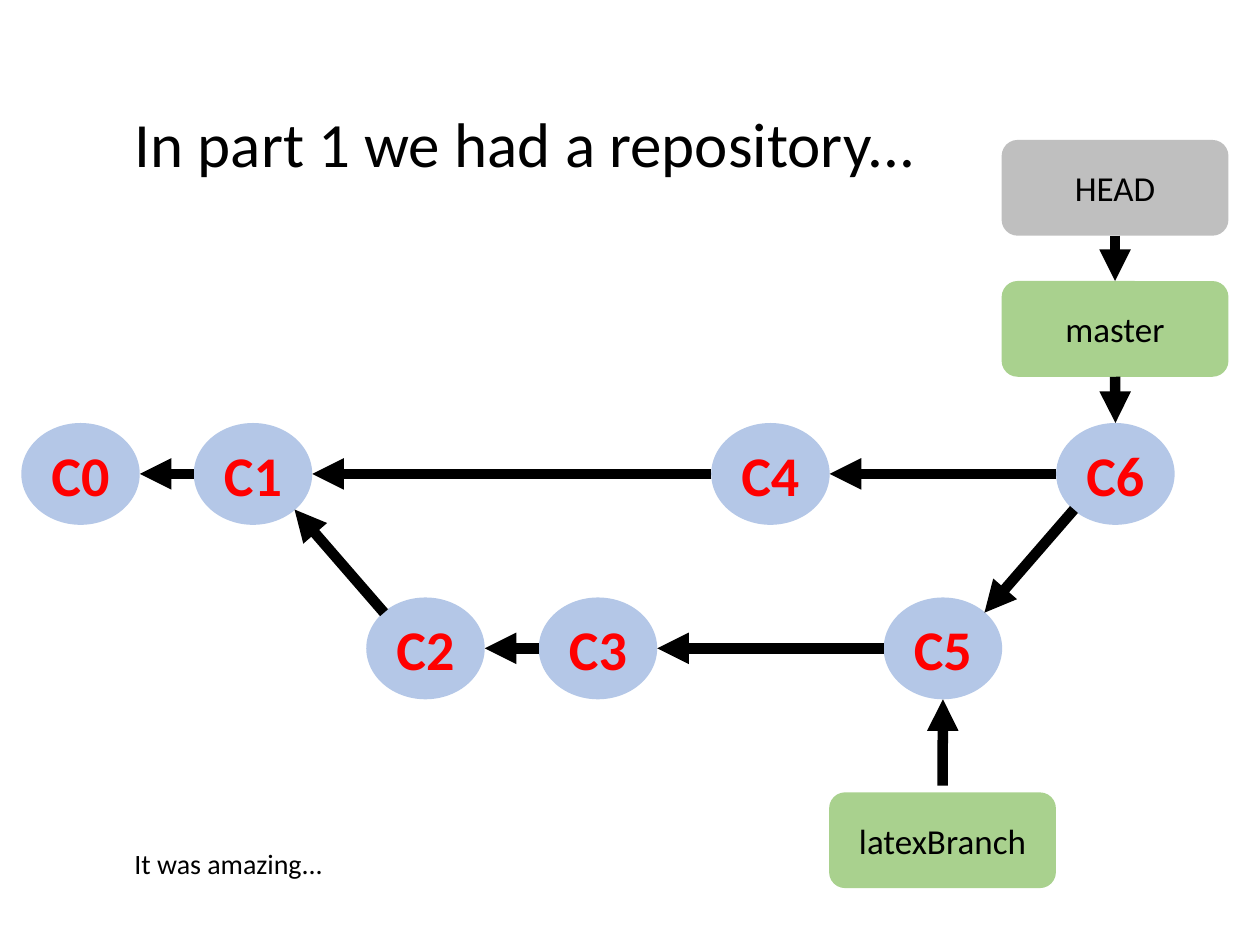
"""Build a slide that shows a commit graph with its branches and HEAD."""
from lxml.etree import SubElement
from pptx import Presentation
from pptx.dml.color import RGBColor
from pptx.enum.shapes import MSO_CONNECTOR as CONN, MSO_SHAPE as SHAPE
from pptx.enum.text import MSO_ANCHOR as ANCHOR, PP_ALIGN as ALIGN
from pptx.oxml.ns import qn
from pptx.util import Pt

BLACK = RGBColor(0x00, 0x00, 0x00)
RED = RGBColor(0xFF, 0x00, 0x00)
BLUE = RGBColor(0xB4, 0xC7, 0xE7)
GREEN = RGBColor(0xA9, 0xD1, 0x8E)
GREY = RGBColor(0xBF, 0xBF, 0xBF)

COMMIT_W, COMMIT_H = 67.7, 58.2
LABEL_W, LABEL_H = 129.6, 54.7
LEFT, STEP = 12.2, 98.56
UPPER, LOWER = 241.7, 341.4


def write(sp, text, anchor, align, formats):
    tf = sp.text_frame
    tf.word_wrap = True
    tf.vertical_anchor = anchor
    p = tf.paragraphs[0]
    p.alignment = align
    r = p.add_run()
    r.text = text
    r.font.color.rgb = formats["color"]
    for name in ("size", "bold"):
        setattr(r.font, name, formats[name])
    r.font.name = "Calibri"


def add_node(s, kind, text, box, fill, formats):
    sp = s.shapes.add_shape(kind, *(Pt(v) for v in box))
    sp.shadow.inherit = False
    sp.fill.solid()
    sp.fill.fore_color.rgb = fill
    sp.line.fill.background()
    sp.text_frame.margin_left = sp.text_frame.margin_right = Pt(0)
    write(sp, text, ANCHOR.MIDDLE, ALIGN.CENTER, formats)
    return sp


prs = Presentation()
prs.slide_width, prs.slide_height = Pt(720), Pt(540)
s = prs.slides.add_slide(prs.slide_layouts[5])

title = s.shapes.title
title.left, title.top, title.width, title.height = Pt(69.8), Pt(56.2), Pt(582.5), Pt(51)
write(title, "In part 1 we had a repository...", ANCHOR.TOP, ALIGN.LEFT,
      {"size": Pt(36), "bold": False, "color": BLACK})

nodes = {}
commit_format = {"size": Pt(32), "bold": True, "color": RED}
rows = [UPPER, UPPER, LOWER, LOWER, UPPER, LOWER, UPPER]
for i, top in enumerate(rows):
    box = (LEFT + i * STEP, top, COMMIT_W, COMMIT_H)
    nodes[f"C{i}"] = add_node(s, SHAPE.OVAL, f"C{i}", box, BLUE, commit_format)

label_format = {"size": Pt(20), "bold": False, "color": BLACK}
labels = [
    ("HEAD", 572.4, 80, GREY),
    ("master", 572.4, 160.6, GREEN),
    ("latexBranch", 473.8, 452.8, GREEN),
]
for text, left, top, fill in labels:
    box = (left, top, LABEL_W, LABEL_H)
    nodes[text] = add_node(s, SHAPE.ROUNDED_RECTANGLE, text, box, fill, label_format)

spots = {
    "left": (0, 0.5), "right": (1, 0.5), "top": (0.5, 0), "bottom": (0.5, 1),
    "top left": (0.15, 0.15), "top right": (0.85, 0.15),
    "bottom left": (0.15, 0.85), "bottom right": (0.85, 0.85),
    "above": (0.5, -0.07),
}
arrows = [
    ("C1", "left", "C0", "right"),
    ("C2", "top left", "C1", "bottom right"),
    ("C3", "left", "C2", "right"),
    ("C4", "left", "C1", "right"),
    ("C5", "left", "C3", "right"),
    ("C6", "left", "C4", "right"),
    ("C6", "bottom left", "C5", "top right"),
    ("latexBranch", "above", "C5", "bottom"),
    ("master", "bottom", "C6", "top"),
    ("HEAD", "bottom", "master", "top"),
]
for start, start_spot, end, end_spot in arrows:
    ends = []
    for name, spot in ((start, start_spot), (end, end_spot)):
        sp, (fx, fy) = nodes[name], spots[spot]
        ends += [int(sp.left + fx * sp.width), int(sp.top + fy * sp.height)]
    arrow = s.shapes.add_connector(CONN.STRAIGHT, *ends)
    arrow.line.color.rgb = BLACK
    arrow.line.width = Pt(6)
    SubElement(arrow.line._get_or_add_ln(), qn("a:tailEnd"), type="triangle")
    SubElement(arrow._element.spPr, qn("a:effectLst"))

remark = s.shapes.add_textbox(Pt(69.8), Pt(480.2), Pt(167.8), Pt(26.6))
write(remark, "It was amazing...", ANCHOR.TOP, ALIGN.LEFT,
      {"size": Pt(16), "bold": False, "color": BLACK})

prs.save("out.pptx")
